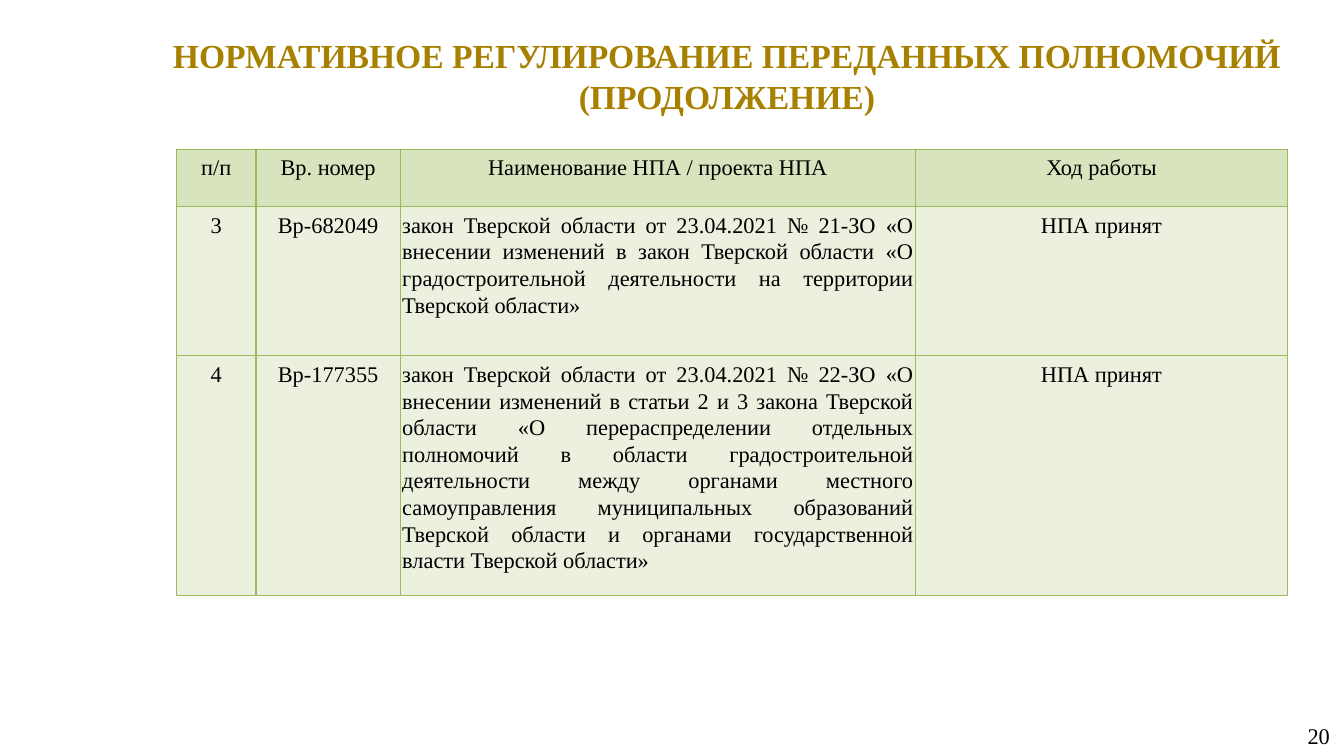
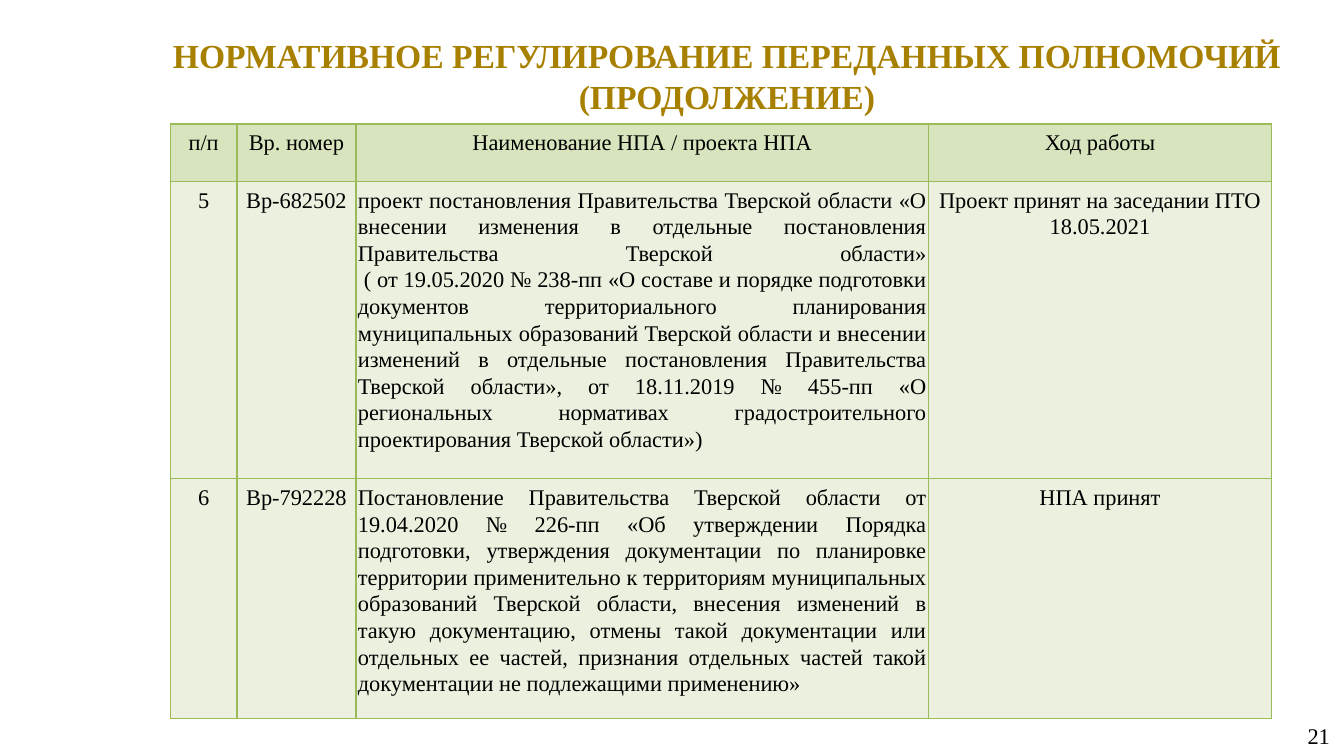
from dataclasses import dataclass

from lxml import etree
from pptx import Presentation
from pptx.dml.color import RGBColor
from pptx.enum.text import MSO_ANCHOR, MSO_AUTO_SIZE, PP_ALIGN
from pptx.oxml.ns import qn
from pptx.util import Inches, Pt

CENTER, RIGHT, JUSTIFY = PP_ALIGN.CENTER, PP_ALIGN.RIGHT, PP_ALIGN.JUSTIFY
TOP, MIDDLE = MSO_ANCHOR.TOP, MSO_ANCHOR.MIDDLE
BLANK_LAYOUT = 6


@dataclass(frozen=True)
class Theme:
    font: str = "Times New Roman"
    title_color: str = "A88000"
    text_color: str = "000000"
    header_fill: str = "D7E4BD"
    body_fill: str = "EBF1DE"
    border_color: str = "9BBB59"
    border_width: float = 0.96
    title_size: int = 24
    text_size: int = 16


THEME = Theme()
TITLE = "НОРМАТИВНОЕ РЕГУЛИРОВАНИЕ ПЕРЕДАННЫХ ПОЛНОМОЧИЙ (ПРОДОЛЖЕНИЕ)"
TITLE_BOX = (1.47, 0.28, 11.48, 0.93)
NUMBER_BOX = (10.21, 7.1, 3.11, 0.4)
HEADER = ("п/п", "Вр. номер", "Наименование НПА / проекта НПА", "Ход работы")
NAME_COLUMN = 2

SLIDES = [
    {
        "number": "20",
        "origin": (1.75, 1.48),
        "widths": (0.79, 1.43, 5.11, 3.69),
        "heights": (0.57, 1.48, 2.38),
        "rows": [
            ("3", "Вр-682049",
             "закон Тверской области от 23.04.2021 № 21-ЗО «О внесении изменений в закон "
             "Тверской области «О градостроительной деятельности на территории "
             "Тверской области»",
             "НПА принят"),
            ("4", "Вр-177355",
             "закон Тверской области от 23.04.2021 № 22-ЗО «О внесении изменений в статьи "
             "2 и 3 закона Тверской области «О перераспределении отдельных полномочий в "
             "области градостроительной деятельности между органами местного "
             "самоуправления муниципальных образований Тверской области и органами "
             "государственной власти Тверской области»",
             "НПА принят"),
        ],
    },
    {
        "number": "21",
        "origin": (1.69, 1.23),
        "widths": (0.66, 1.18, 5.68, 3.4),
        "heights": (0.57, 2.95, 2.38),
        "rows": [
            ("5", "Вр-682502",
             "проект постановления Правительства Тверской области «О внесении изменения в "
             "отдельные постановления Правительства Тверской области»\v"
             " ( от 19.05.2020 № 238-пп «О составе и порядке подготовки документов "
             "территориального планирования муниципальных образований Тверской области и "
             "внесении изменений в отдельные постановления Правительства Тверской "
             "области», от 18.11.2019 № 455-пп «О региональных нормативах "
             "градостроительного проектирования Тверской области»)",
             "Проект принят на заседании ПТО 18.05.2021"),
            ("6", "Вр-792228",
             "Постановление Правительства Тверской области от 19.04.2020 № 226-пп «Об "
             "утверждении Порядка подготовки, утверждения документации по планировке "
             "территории применительно к территориям муниципальных образований Тверской "
             "области, внесения изменений в такую документацию, отмены такой документации "
             "или отдельных ее частей, признания отдельных частей такой документации не "
             "подлежащими применению»",
             "НПА принят"),
        ],
    },
]


def write_paragraph(paragraph, text, size, color, alignment, bold=False):
    paragraph.text = text
    paragraph.alignment = alignment
    font = paragraph.font
    font.name, font.size, font.bold = THEME.font, Pt(size), bold
    font.color.rgb = RGBColor.from_string(color)


def add_text(slide, box, text, size, color, alignment, anchor=TOP, bold=False):
    shape = slide.shapes.add_textbox(*map(Inches, box))
    frame = shape.text_frame
    frame.word_wrap = True
    frame.auto_size = MSO_AUTO_SIZE.NONE
    frame.vertical_anchor = anchor
    frame.margin_left = frame.margin_right = Inches(0.13)
    frame.margin_top = frame.margin_bottom = Inches(0.07)
    write_paragraph(frame.paragraphs[0], text, size, color, alignment, bold)


def add_borders(cell):
    # Border lines must come before the fill in the cell properties
    properties = cell._tc.get_or_add_tcPr()
    for position, side in enumerate(("a:lnL", "a:lnR", "a:lnT", "a:lnB")):
        line = etree.Element(qn(side), w=str(Pt(THEME.border_width)))
        fill = etree.SubElement(line, qn("a:solidFill"))
        etree.SubElement(fill, qn("a:srgbClr"), val=THEME.border_color)
        properties.insert(position, line)


def fill_cell(cell, text, fill, alignment):
    cell.margin_left = cell.margin_right = Inches(0.02)
    cell.margin_top = cell.margin_bottom = Inches(0.05)
    cell.fill.solid()
    cell.fill.fore_color.rgb = RGBColor.from_string(fill)
    paragraph = cell.text_frame.paragraphs[0]
    write_paragraph(paragraph, text, THEME.text_size, THEME.text_color, alignment)
    paragraph.line_spacing = 1.07
    paragraph.space_after = Pt(8)
    add_borders(cell)


def add_acts_table(slide, origin, widths, heights, rows):
    box = (*origin, sum(widths), sum(heights))
    table = slide.shapes.add_table(len(heights), len(widths), *map(Inches, box)).table
    table.first_row = table.horz_banding = False
    for column, width in zip(table.columns, widths):
        column.width = Inches(width)
    for row, height in zip(table.rows, heights):
        row.height = Inches(height)
    for row_index, texts in enumerate([HEADER, *rows]):
        is_header = row_index == 0
        fill = THEME.header_fill if is_header else THEME.body_fill
        for column_index, text in enumerate(texts):
            justified = column_index == NAME_COLUMN and not is_header
            fill_cell(table.cell(row_index, column_index), text, fill,
                      JUSTIFY if justified else CENTER)


def add_acts_slide(presentation, number, origin, widths, heights, rows):
    slide = presentation.slides.add_slide(presentation.slide_layouts[BLANK_LAYOUT])
    # Title and page number
    add_text(slide, TITLE_BOX, TITLE, THEME.title_size, THEME.title_color, CENTER, bold=True)
    add_text(slide, NUMBER_BOX, number, THEME.text_size, THEME.text_color, RIGHT, MIDDLE)
    # Table of legal acts
    add_acts_table(slide, origin, widths, heights, rows)


def main():
    presentation = Presentation()
    presentation.slide_width = Inches(13.33)
    presentation.slide_height = Inches(7.5)
    for content in SLIDES:
        add_acts_slide(presentation, **content)
    presentation.save("out.pptx")


if __name__ == "__main__":
    main()
